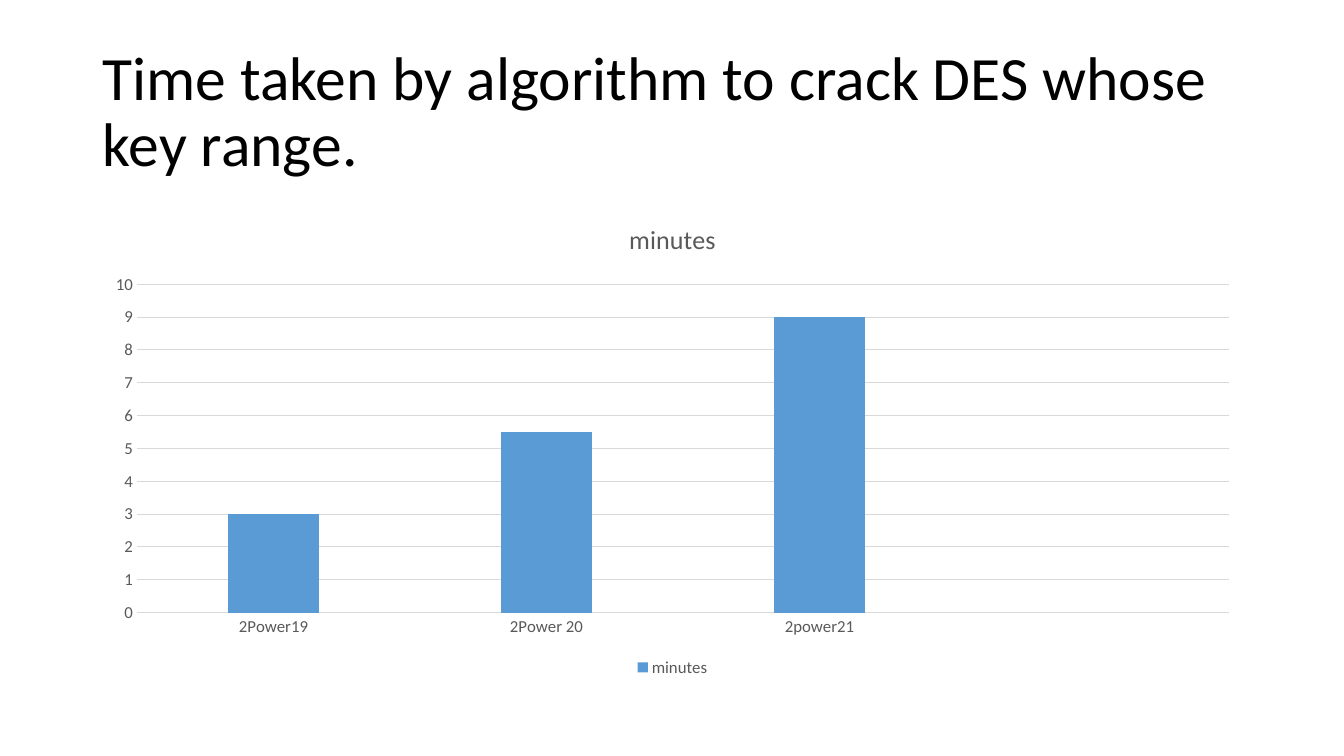
from dataclasses import dataclass

from pptx import Presentation
from pptx.chart.data import CategoryChartData as ChartData
from pptx.dml.color import RGBColor as Color
from pptx.enum.chart import XL_CHART_TYPE as ChartType
from pptx.enum.chart import XL_LEGEND_POSITION as LegendPosition
from pptx.enum.chart import XL_TICK_MARK as TickMark
from pptx.enum.text import MSO_ANCHOR as Anchor
from pptx.util import Inches, Pt


@dataclass(frozen=True)
class Theme:
    font: str = "Calibri"
    heading: str = "000000"
    label: str = "595959"
    grid: str = "D9D9D9"
    bar: str = "5B9BD5"
    heading_size: float = 44
    chart_title_size: float = 18.6
    label_size: float = 12
    line_width: float = 0.75


theme = Theme()


def write(para, text, size, color):
    span = para.add_run()
    span.text = text
    style(span.font, size, color)


def style(font, size, color):
    font.name = theme.font
    font.size = Pt(size)
    font.bold = False
    font.color.rgb = Color.from_string(color)


deck = Presentation()
deck.slide_width, deck.slide_height = Inches(13.33), Inches(7.5)
page = deck.slides.add_slide(deck.slide_layouts[6])
left, width = Inches(0.92), Inches(11.5)

# Heading
box = page.shapes.add_textbox(left, Inches(0.4), width, Inches(1.45))
frame = box.text_frame
frame.word_wrap = True
frame.vertical_anchor = Anchor.MIDDLE
para = frame.paragraphs[0]
para.line_spacing = 0.9
write(para, "Time taken by algorithm to crack DES whose key range.",
      size=theme.heading_size, color=theme.heading)

# Chart: the last category is left empty
data = ChartData()
data.categories = ["2Power19", "2Power 20", "2power21", ""]
data.add_series("minutes", [3, 5.5, 9, None])
chart = page.shapes.add_chart(ChartType.COLUMN_CLUSTERED, left, Inches(2),
                              width, Inches(4.76), data).chart
style(chart.font, theme.label_size, theme.label)

chart.has_title = True
write(chart.chart_title.text_frame.paragraphs[0], "minutes",
      size=theme.chart_title_size, color=theme.label)
chart.chart_title.include_in_layout = False

chart.has_legend = True
chart.legend.position = LegendPosition.BOTTOM
chart.legend.include_in_layout = False
style(chart.legend.font, theme.label_size, theme.label)

plot = chart.plots[0]
plot.gap_width, plot.overlap = 203, -7
plot.vary_by_categories = False
bars = plot.series[0].format.fill
bars.solid()
bars.fore_color.rgb = Color.from_string(theme.bar)

# Axes
for axis in (chart.category_axis, chart.value_axis):
    axis.major_tick_mark = axis.minor_tick_mark = TickMark.NONE
    style(axis.tick_labels.font, theme.label_size, theme.label)

values = chart.value_axis
values.minimum_scale, values.maximum_scale, values.major_unit = 0, 10, 1
values.has_major_gridlines = True
values.format.line.fill.background()
for line in (chart.category_axis.format.line, values.major_gridlines.format.line):
    line.color.rgb = Color.from_string(theme.grid)
    line.width = Pt(theme.line_width)

deck.save("out.pptx")
